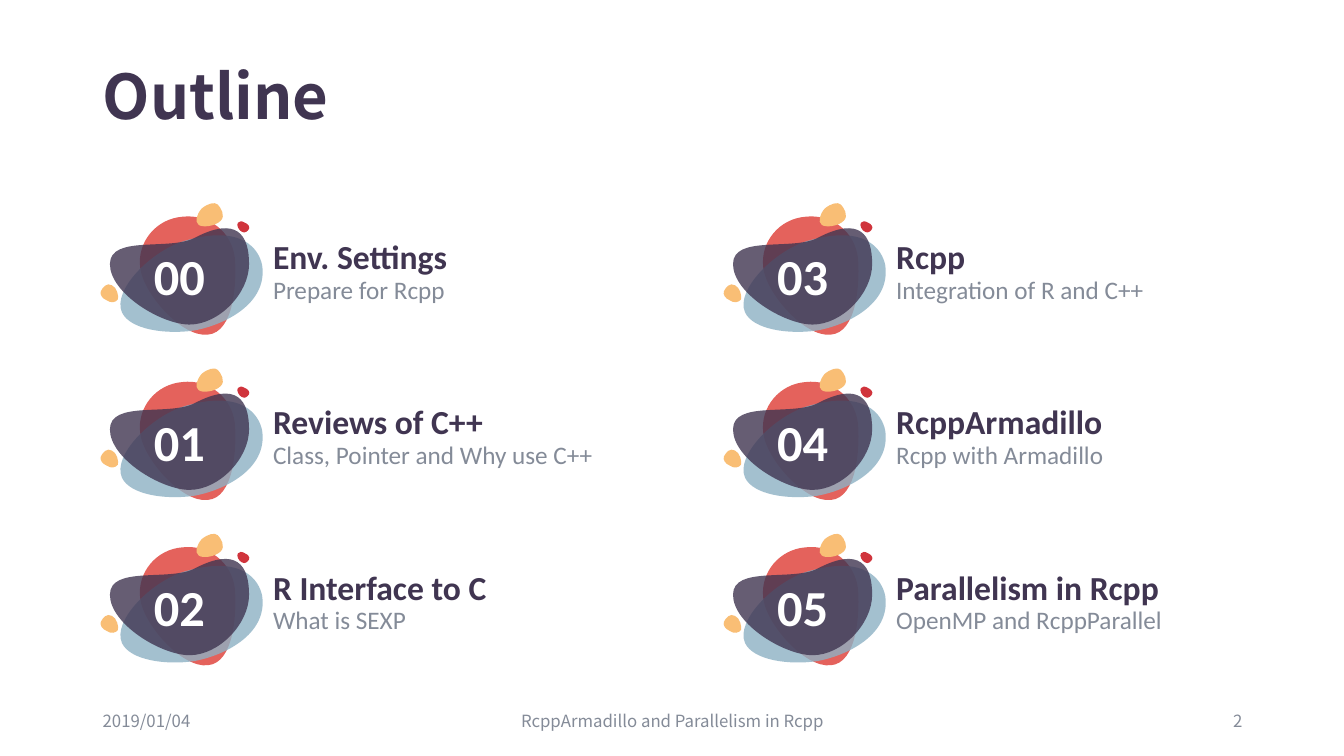
"""Build the outline slide: six numbered topics in two columns."""
from lxml import etree
from pptx import Presentation
from pptx.dml.color import RGBColor
from pptx.enum.text import MSO_ANCHOR, MSO_AUTO_SIZE, PP_ALIGN
from pptx.oxml.ns import qn
from pptx.util import Inches, Pt

LEFT, CENTER, RIGHT = PP_ALIGN.LEFT, PP_ALIGN.CENTER, PP_ALIGN.RIGHT
TOP, MIDDLE, BOTTOM = MSO_ANCHOR.TOP, MSO_ANCHOR.MIDDLE, MSO_ANCHOR.BOTTOM
FIT_SHAPE = MSO_AUTO_SIZE.SHAPE_TO_FIT_TEXT

COLORS = {
    "plum": "403551",
    "coral": "E4625C",
    "blue": "8DB1C4",
    "amber": "F9BE75",
    "red": "D0343C",
    "gray": "848B98",
    "white": "FFFFFF",
}
BODY_FONT = "Calibri"
FRAME_FONT = "Noto Sans CJK SC"
COLUMN_STEP, ROW_STEP, ROWS = 6.18, 1.64, 3

CORAL_BLOB = ((1.38, 2.15, 0.95, 1.18),
              [(1.39, 2.65), (1.41, 2.9), (1.8, 3.35), (2.06, 3.32),
               (2.32, 3.3), (2.35, 2.81), (2.33, 2.56),
               (2.3, 2.3), (2.07, 2.12), (1.81, 2.15),
               (1.55, 2.17), (1.36, 2.4), (1.39, 2.65)])
BLUE_BLOB = ((1.2, 2.34, 1.41, 0.96),
             [(1.21, 3.1), (1.29, 3.27), (1.64, 3.32), (1.92, 3.28),
              (2.21, 3.23), (2.66, 3.02), (2.6, 2.63),
              (2.57, 2.48), (2.41, 2.22), (1.83, 2.39),
              (1.5, 2.49), (1.11, 2.88), (1.21, 3.1)])
PLUM_BLOB = ((1.09, 2.26, 1.38, 0.95),
             [(1.09, 2.62), (1.09, 2.91), (1.6, 3.22), (1.88, 3.22),
              (2.17, 3.22), (2.47, 2.91), (2.47, 2.62),
              (2.47, 2.33), (2.35, 2.14), (1.93, 2.36),
              (1.68, 2.49), (1.09, 2.33), (1.09, 2.62)])
TOP_DROP = ((1.95, 2.01, 0.26, 0.23),
            [(1.97, 2.23), (2, 2.26), (2.13, 2.25), (2.19, 2.19),
             (2.24, 2.14), (2.19, 2.06), (2.16, 2.03),
             (2.13, 2), (2.06, 2.02), (2, 2.07),
             (1.95, 2.13), (1.93, 2.2), (1.97, 2.23)])
LEFT_DROP = ((1, 2.82, 0.17, 0.18),
             [(1.17, 2.97), (1.18, 2.94), (1.16, 2.85), (1.11, 2.83),
              (1.06, 2.8), (1.02, 2.85), (1, 2.89),
              (0.99, 2.92), (1.01, 2.96), (1.06, 2.98),
              (1.1, 3.01), (1.15, 3), (1.17, 2.97)])
RED_DROP = ((2.35, 2.19, 0.12, 0.11),
            [(2.36, 2.21), (2.34, 2.23), (2.37, 2.29), (2.4, 2.3),
             (2.43, 2.32), (2.46, 2.29), (2.47, 2.27),
             (2.48, 2.25), (2.46, 2.22), (2.43, 2.21),
             (2.4, 2.19), (2.37, 2.19), (2.36, 2.21)])

TOPICS = [
    ("Env. Settings", "Prepare for Rcpp"),
    ("Reviews of C++", "Class, Pointer and Why use C++"),
    ("R Interface to C", "What is SEXP"),
    ("Rcpp", "Integration of R and C++"),
    ("RcppArmadillo", "Rcpp with Armadillo"),
    ("Parallelism in Rcpp", "OpenMP and RcppParallel"),
]


def set_text(sp, text, size, color, font=BODY_FONT, bold=False, align=LEFT,
             anchor=MIDDLE, insets=(0.1, 0.05, 0.1, 0.05)):
    """Write one formatted paragraph into a shape."""
    tf = sp.text_frame
    tf.word_wrap = True
    tf.vertical_anchor = anchor
    tf.margin_left, tf.margin_top, tf.margin_right, tf.margin_bottom = map(Inches, insets)
    p = tf.paragraphs[0]
    p.text = text
    p.alignment = align
    r = p.runs[0]
    r.font.name = font
    r.font.size = Pt(size)
    r.font.bold = bold
    r.font.color.rgb = RGBColor.from_string(COLORS[color])


def add_text(shapes, box, text, size, color, **style):
    """Add a text box at left, top, width, height."""
    sp = shapes.add_textbox(*map(Inches, box))
    set_text(sp, text, size, color, **style)
    return sp


def set_curves(sp, points):
    """Replace the outline of a freeform by cubic curves through local points."""
    outline = sp._element.spPr.find(".//" + qn("a:path"))
    for child in list(outline):
        outline.remove(child)
    curves = [("a:moveTo", points[:1])]
    curves += [("a:cubicBezTo", points[i:i + 3]) for i in range(1, len(points), 3)]
    for tag, stops in curves:
        curve = etree.SubElement(outline, qn(tag))
        for x, y in stops:
            etree.SubElement(curve, qn("a:pt"), x=str(Inches(x)), y=str(Inches(y)))
    etree.SubElement(outline, qn("a:close"))


def add_blob(shapes, blob, dx, dy, color, alpha=100):
    """Add a filled curved shape, with alpha as percent opacity."""
    (left, top, width, height), points = blob
    x, y, w, h = map(Inches, (left + dx, top + dy, width, height))
    builder = shapes.build_freeform(x, y)
    builder.add_line_segments([(x + w, y), (x + w, y + h), (x, y + h)], close=True)
    sp = builder.convert_to_shape()
    set_curves(sp, [(px - left, py - top) for px, py in points])
    sp.shadow.inherit = False
    sp.line.fill.background()
    sp.fill.solid()
    sp.fill.fore_color.rgb = RGBColor.from_string(COLORS[color])
    if alpha < 100:
        clr = sp._element.spPr.find(qn("a:solidFill"))[0]
        etree.SubElement(clr, qn("a:alpha")).set("val", str(alpha * 1000))
    return sp


def add_badge(slide, number, dx, dy):
    """Add the grouped blobs that carry a topic number."""
    shapes = slide.shapes.add_group_shape().shapes
    add_blob(shapes, CORAL_BLOB, dx, dy, "coral")
    add_blob(shapes, BLUE_BLOB, dx, dy, "blue", 80)
    sp = add_blob(shapes, PLUM_BLOB, dx, dy, "plum", 80)
    set_text(sp, number, 36, "white", bold=True, align=CENTER, insets=(0.04,) * 4)
    add_blob(shapes, TOP_DROP, dx, dy, "amber")
    add_blob(shapes, LEFT_DROP, dx, dy, "amber")
    add_blob(shapes, RED_DROP, dx, dy, "red")


def add_topic(slide, index, heading, detail):
    """Add a badge with its heading and detail line."""
    column, row = divmod(index, ROWS)
    dx, dy = column * COLUMN_STEP, row * ROW_STEP
    add_badge(slide, f"{index:02d}", dx, dy)
    shapes = slide.shapes.add_group_shape().shapes
    title = add_text(shapes, (2.61 + dx, 2.13 + dy, 3.26, 0.61), heading, 24, "plum",
                     bold=True, anchor=BOTTOM, insets=(0.1, 0.2, 0.1, 0))
    note = add_text(shapes, (2.61 + dx, 2.72 + dy, 3.54, 0.3), detail, 18, "gray",
                    anchor=TOP, insets=(0.1, 0, 0.1, 0))
    for sp in (title, note):
        sp.text_frame.auto_size = FIT_SHAPE


def add_footer(slide):
    """Add the date, the talk title and the page number."""
    for left, width, text, align in (
            (0.92, 3, "2019/01/04", LEFT),
            (4.42, 4.5, "RcppArmadillo and Parallelism in Rcpp", CENTER),
            (9.42, 3, "2", RIGHT)):
        add_text(slide.shapes, (left, 6.95, width, 0.4), text, 12, "gray",
                 font=FRAME_FONT, align=align)


def main():
    """Build and save the slide."""
    prs = Presentation()
    prs.slide_width, prs.slide_height = Inches(13.33), Inches(7.5)
    slide = prs.slides.add_slide(prs.slide_layouts[6])
    title = add_text(slide.shapes, (0.92, 0.37, 11.5, 1.24), "Outline", 44, "plum",
                     font=FRAME_FONT, bold=True)
    title.text_frame.paragraphs[0].line_spacing = 0.9
    for index, (heading, detail) in enumerate(TOPICS):
        add_topic(slide, index, heading, detail)
    add_footer(slide)
    prs.save("out.pptx")


if __name__ == "__main__":
    main()
